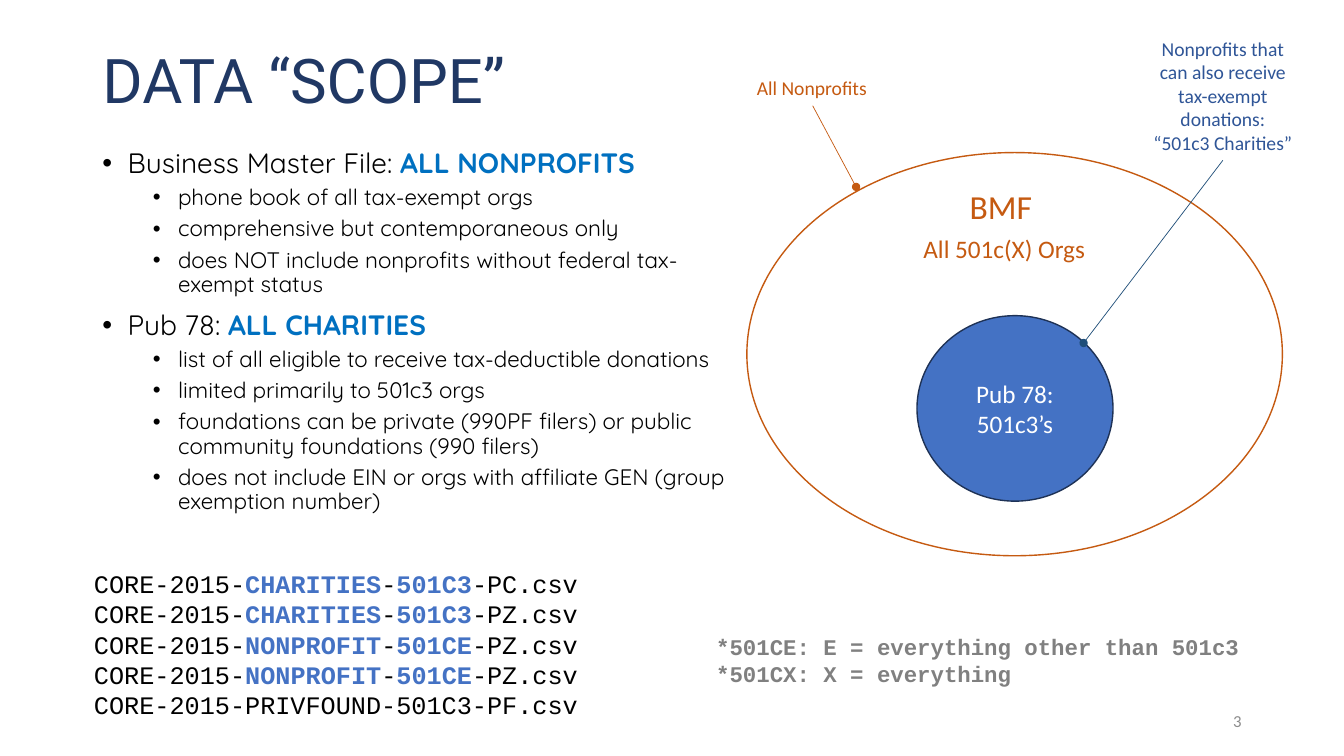
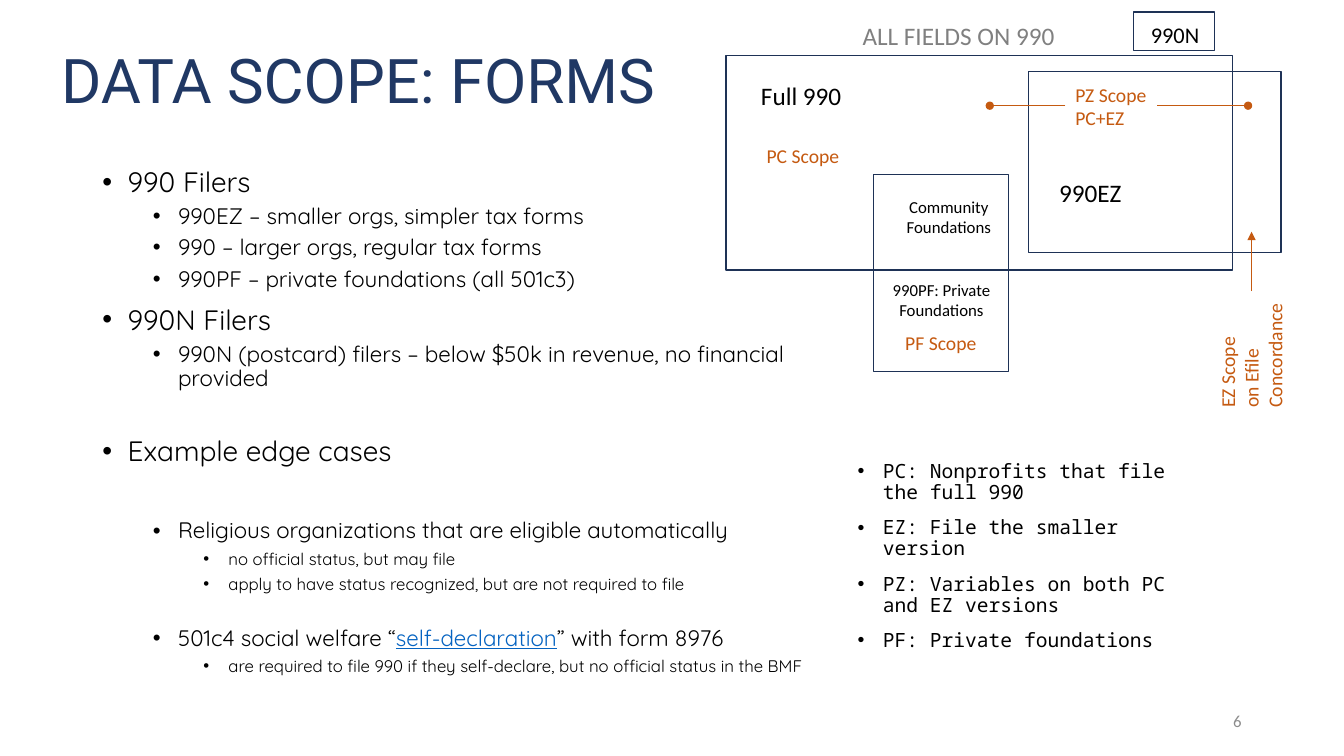
from dataclasses import dataclass

from lxml.etree import SubElement
from pptx import Presentation
from pptx.dml.color import RGBColor
from pptx.enum.shapes import MSO_CONNECTOR as Connector, MSO_SHAPE as Shape
from pptx.enum.text import MSO_ANCHOR as Anchor, MSO_AUTO_SIZE as AutoSize, PP_ALIGN as Align
from pptx.oxml.ns import qn
from pptx.util import Pt


@dataclass(frozen=True)
class Theme:
    title_font: str = "Roboto"
    body_font: str = "Quicksand"
    label_font: str = "Calibri"
    code_font: str = "Courier New"
    mono_font: str = "Noto Sans Mono"
    navy: str = "203864"
    outline: str = "1E3256"
    black: str = "000000"
    white: str = "FFFFFF"
    orange: str = "C55A11"
    blue: str = "4472C4"
    bright: str = "0070C0"
    link: str = "0563C1"
    charity: str = "2F5597"
    pointer: str = "1F4E79"
    grey: str = "808080"
    page: str = "8C8C8C"
    title_size: int = 44
    heading_size: int = 24
    large_size: int = 18
    medium_size: int = 16
    small_size: int = 14
    tiny_size: int = 12
    outline_sizes: tuple = (20, 16, 12)
    outline_gaps: tuple = (10, 5, 5)
    outline_indents: tuple = (18, 54, 90)


class Deck:
    """Draws styled elements on the current slide, with lengths in points."""

    def __init__(self, theme):
        self.theme = theme
        self.show = Presentation()
        self.show.slide_width, self.show.slide_height = Pt(960), Pt(540)
        self.slide = None

    def place(self, item, box):
        item.left, item.top, item.width, item.height = map(Pt, box)
        return item

    def style(self, font, name, size, color, bold=None):
        font.name, font.size, font.bold = name, Pt(size), bold
        font.color.rgb = RGBColor.from_string(color)

    def add_runs(self, paragraph, text, accent=None, underline=False):
        for index, part in enumerate(text.split("|")):
            if not part:
                continue
            run = paragraph.add_run()
            run.text = part
            if index % 2:
                run.font.color.rgb = RGBColor.from_string(accent)
                run.font.bold = not underline
                run.font.underline = underline

    def paragraphs(self, frame, items):
        for index, item in enumerate(items):
            yield (frame.add_paragraph() if index else frame.paragraphs[0]), item

    def start(self, title, title_left, number):
        theme = self.theme
        self.slide = self.show.slides.add_slide(self.show.slide_layouts[1])
        heading = self.place(self.slide.shapes.title, (title_left, 8, 828, 104))
        frame = heading.text_frame
        frame.auto_size, frame.vertical_anchor = AutoSize.NONE, Anchor.MIDDLE
        line = frame.paragraphs[0]
        line.alignment, line.line_spacing = Align.LEFT, 0.9
        self.style(line.font, theme.title_font, theme.title_size, theme.navy)
        self.add_runs(line, title)
        self.label((678, 500, 216, 29), number, theme.tiny_size, theme.page,
                   align=Align.RIGHT, anchor=Anchor.MIDDLE, wrap=True)

    def bullets(self, frame, items, font, sizes, accent=None, underline=False):
        theme = self.theme
        frame.auto_size, frame.word_wrap = AutoSize.NONE, True
        for line, (level, text, *gap) in self.paragraphs(frame, items):
            line.level, line.line_spacing, line.alignment = level, 0.9, Align.LEFT
            line.space_before = Pt(gap[0] if gap else theme.outline_gaps[level])
            props = line._p.get_or_add_pPr()
            props.set("marL", str(Pt(theme.outline_indents[level])))
            props.set("indent", str(-Pt(18)))
            SubElement(props, qn("a:buFont")).set("typeface", "Arial")
            SubElement(props, qn("a:buChar")).set("char", "•")
            self.style(line.font, font, sizes[level], theme.black)
            self.add_runs(line, text, accent, underline)

    def body(self, box, items, accent, underline=False):
        holder = self.place(self.slide.placeholders[1], box)
        self.bullets(holder.text_frame, items, self.theme.body_font,
                     self.theme.outline_sizes, accent, underline)

    def glossary(self, box, items):
        frame = self.slide.shapes.add_textbox(*map(Pt, box)).text_frame
        self.bullets(frame, [(0, item) for item in items], self.theme.mono_font,
                     (self.theme.small_size,))

    def fill_text(self, frame, text, size, color, font, align, bold=None):
        for line, part in self.paragraphs(frame, text.split("\n")):
            line.alignment = align
            self.style(line.font, font, size, color, bold)
            self.add_runs(line, part, self.theme.blue)

    def label(self, box, text, size, color, font=None, align=Align.LEFT,
              anchor=Anchor.TOP, wrap=False, bold=None, rotation=0):
        holder = self.slide.shapes.add_textbox(*map(Pt, box))
        holder.rotation = rotation
        frame = holder.text_frame
        frame.word_wrap, frame.vertical_anchor = wrap, anchor
        self.fill_text(frame, text, size, color, font or self.theme.label_font, align, bold)

    def shape(self, kind, box, line, fill=None, text=None):
        theme = self.theme
        item = self.slide.shapes.add_shape(kind, *map(Pt, box))
        item.shadow.inherit = False
        item.line.color.rgb, item.line.width = RGBColor.from_string(line), Pt(1)
        if fill:
            item.fill.solid()
            item.fill.fore_color.rgb = RGBColor.from_string(fill)
        else:
            item.fill.background()
        if text:
            item.text_frame.vertical_anchor = Anchor.MIDDLE
            self.fill_text(item.text_frame, text, theme.large_size, theme.white,
                           theme.label_font, Align.CENTER)

    def arrow(self, start, end, color, tip="oval"):
        item = self.slide.shapes.add_connector(Connector.STRAIGHT, *map(Pt, start + end))
        item.line.color.rgb, item.line.width = RGBColor.from_string(color), Pt(0.5)
        SubElement(item.line._get_or_add_ln(), qn("a:tailEnd")).set("type", tip)
        SubElement(item._element.spPr, qn("a:effectLst"))


def data_scope(deck):
    theme = deck.theme
    deck.start("DATA “SCOPE”", 66, "3")
    deck.body((66, 103, 467.5, 395), [
        (0, "Business Master File: |ALL NONPROFITS|"),
        (1, "phone book of all tax-exempt orgs"),
        (1, "comprehensive but contemporaneous only"),
        (1, "does NOT include nonprofits without federal tax-exempt status"),
        (0, "Pub 78: |ALL CHARITIES|"),
        (1, "list of all eligible to receive tax-deductible donations"),
        (1, "limited primarily to 501c3 orgs"),
        (1, "foundations can be private (990PF filers) or public community foundations (990 filers)"),
        (1, "does not include EIN or orgs with affiliate GEN (group exemption number)"),
    ], theme.bright)

    deck.shape(Shape.OVAL, (533.5, 109, 382.5, 288), theme.orange)
    deck.shape(Shape.OVAL, (655, 225.5, 140, 132.5), theme.outline, theme.blue, "Pub 78: 501c3’s")
    deck.label((652.5, 163, 131, 29), "All 501c(X) Orgs", theme.large_size, theme.orange)
    deck.label((685.5, 129.5, 60, 36), "BMF", theme.heading_size, theme.orange)
    deck.label((533.5, 51, 94, 24.5), "All Nonprofits", theme.small_size, theme.orange)
    deck.arrow((580.5, 75.5), (611.5, 133.5), theme.orange)
    deck.label((813.5, 22.5, 120, 92),
               "Nonprofits that can also receive tax-exempt\ndonations:\n“501c3 Charities”",
               theme.small_size, theme.charity, align=Align.CENTER, wrap=True)
    deck.arrow((873.5, 114.5), (774, 245), theme.pointer)

    datasets = [
        "|CHARITIES|-|501C3|-PC",
        "|CHARITIES|-|501C3|-PZ",
        "|NONPROFIT|-|501CE|-PZ",
        "|NONPROFIT|-|501CE|-PZ",
        "PRIVFOUND-501C3-PF",
    ]
    deck.label((60, 402.5, 480, 117), "\n".join(f"CORE-2015-{name}.csv" for name in datasets),
               theme.large_size, theme.black, theme.code_font, wrap=True)
    deck.label((504.5, 448.5, 450, 46),
               "*501CE: E = everything other than 501c3\n*501CX: X = everything",
               theme.medium_size, theme.grey, theme.code_font, wrap=True, bold=True)


def data_scope_forms(deck):
    theme = deck.theme
    deck.start("DATA SCOPE: FORMS", 36.5, "6")
    deck.body((66, 116.5, 518.5, 395), [
        (0, "990 Filers"),
        (1, "990EZ – smaller orgs, simpler tax forms"),
        (1, "990 – larger orgs, regular tax forms"),
        (1, "990PF – private foundations (all 501c3)"),
        (0, "990N Filers"),
        (1, "990N (postcard) filers – below $50k in revenue, no financial provided"),
        (0, "Example edge cases", 33),
        (1, "Religious organizations that are eligible automatically", 37),
        (2, "no official status, but may file"),
        (2, "apply to have status recognized, but are not required to file"),
        (1, "501c4 social welfare “|self-declaration|” with form 8976", 23.5),
        (2, "are required to file 990 if they self-declare, but no official status in the BMF"),
    ], theme.link, underline=True)
    deck.glossary((605.5, 326, 263.5, 187), [
        "PC: Nonprofits that file the full 990",
        "EZ: File the smaller version",
        "PZ: Variables on both PC and EZ versions",
        "PF: Private foundations",
    ])

    for form in [(518.5, 39.5, 362, 153.5), (734.5, 51, 180.5, 129.5),
                 (809.5, 8.5, 58, 27.5), (624, 124.5, 96.5, 141)]:
        deck.shape(Shape.RECTANGLE, form, theme.outline)

    deck.label((609, 11, 153.5, 29), "ALL FIELDS ON 990", theme.large_size, theme.grey)
    deck.label((536.5, 54, 72.5, 29), "Full 990", theme.large_size, theme.black)
    deck.label((749.5, 123, 59, 29), "990EZ", theme.large_size, theme.black)
    deck.label((815, 11.5, 49.5, 26.5), "990N", theme.medium_size, theme.black)
    deck.label((628.5, 196.5, 88, 36), "990PF: Private\nFoundations",
               theme.tiny_size, theme.black, align=Align.CENTER)
    deck.label((640, 137, 75.5, 36), "Community\nFoundations",
               theme.tiny_size, theme.black, align=Align.CENTER)

    for box, scope, rotation in [
        ((761, 55.5, 65.5, 41), "PZ Scope\nPC+EZ", 0),
        ((540.5, 99.5, 67, 24.5), "PC Scope", 0),
        ((639.5, 232.5, 67, 24.5), "PF Scope", 0),
        ((849, 224, 90, 58.5), "EZ Scope\non Efile\nConcordance", 270),
    ]:
        deck.label(box, scope, theme.small_size, theme.orange, rotation=rotation)

    deck.arrow((894, 208), (894, 165.5), theme.orange, "triangle")
    deck.arrow((826.5, 75.5), (891.5, 75.5), theme.orange)
    deck.arrow((761, 75.5), (707, 75.5), theme.orange)


def main():
    deck = Deck(Theme())
    data_scope(deck)
    data_scope_forms(deck)
    deck.show.save("out.pptx")


if __name__ == "__main__":
    main()
